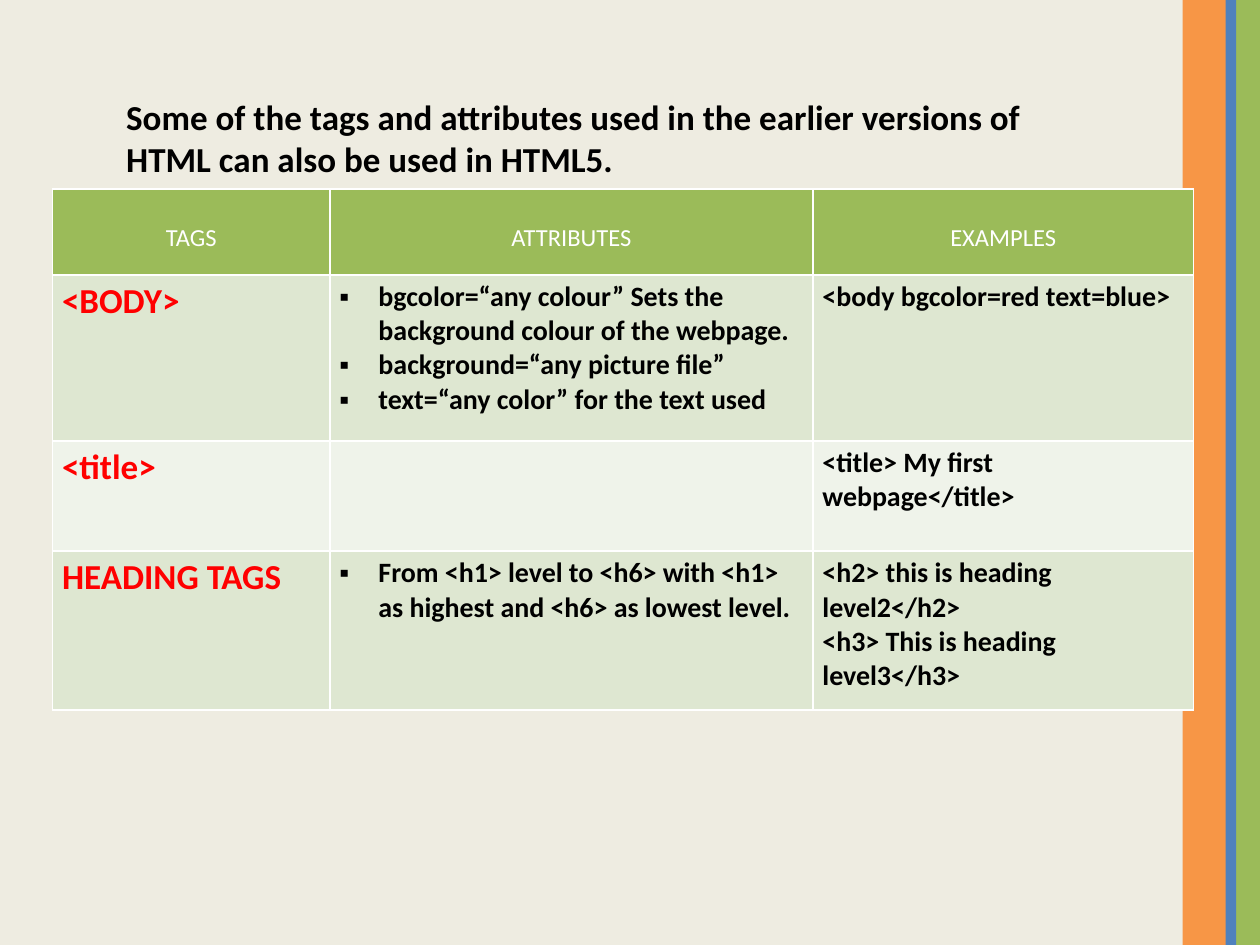
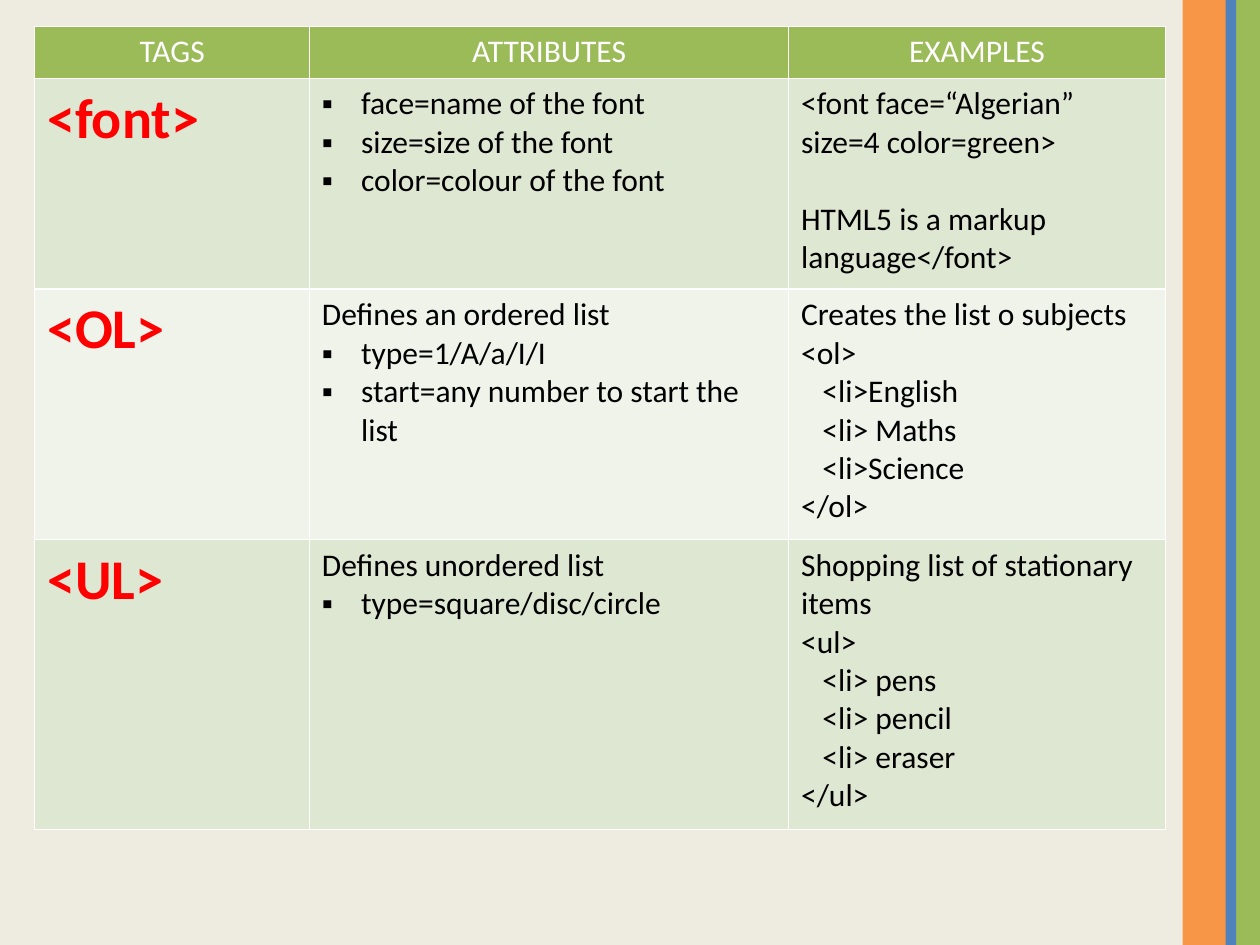
from dataclasses import dataclass
from enum import Enum

from lxml.etree import SubElement as Sub
from pptx import Presentation
from pptx.dml.color import RGBColor as Rgb
from pptx.enum.shapes import MSO_SHAPE as Form
from pptx.enum.text import MSO_ANCHOR as Anchor, MSO_AUTO_SIZE as Auto, PP_ALIGN as Align
from pptx.oxml.ns import qn
from pptx.util import Cm, Pt

FONT = "Calibri"
HUES = {
    "sand": "EEECE1",
    "orange": "F79646",
    "blue": "4F81BD",
    "green": "9BBB59",
    "dark": "DEE7D1",
    "light": "EFF3EA",
    "red": "FF0000",
    "black": "000000",
    "white": "FFFFFF",
}
HEADS = ("TAGS", "ATTRIBUTES", "EXAMPLES")
HIGH = 19.05


class Kind(Enum):
    PLAIN = 1
    BULLET = 2
    INSET = 3
    GAP = 4


@dataclass
class Line:
    text: str
    kind: Kind = Kind.PLAIN


@dataclass
class Look:
    size: float
    hue: str
    bold: bool = False
    align: Align = Align.LEFT


@dataclass
class Band:
    left: float
    width: float
    hue: str


@dataclass
class Row:
    tag: str
    traits: list[Line]
    samples: list[Line]


@dataclass
class Grid:
    left: float
    top: float
    cols: tuple[float, ...]
    highs: tuple[float, ...]
    pad: tuple[float, float]
    drop: float
    head: Look
    tag: Look
    body: Look
    rows: list[Row]


def plain(*texts: str) -> list[Line]:
    return [Line(text) for text in texts]


def dots(*texts: str) -> list[Line]:
    return [Line(text, Kind.BULLET) for text in texts]


def inset(*texts: str) -> list[Line]:
    return [Line(text, Kind.INSET) for text in texts]


def tint(hue: str) -> Rgb:
    return Rgb.from_string(HUES[hue])


def paint(fill, hue: str) -> None:
    fill.solid()
    fill.fore_color.rgb = tint(hue)


def add_band(slide, band: Band) -> None:
    bar = slide.shapes.add_shape(Form.RECTANGLE, Cm(band.left), Cm(0), Cm(band.width), Cm(HIGH))
    bar.shadow.inherit = False
    paint(bar.fill, band.hue)
    bar.line.fill.background()


def style(para, look: Look, kind: Kind = Kind.PLAIN) -> None:
    para.alignment = look.align
    for run in para.runs:
        run.font.name = FONT
        run.font.size = Pt(look.size)
        run.font.bold = look.bold
        run.font.color.rgb = tint(look.hue)
    props = para._p.get_or_add_pPr()
    if kind is Kind.GAP:
        para.space_before = Pt(look.size * 1.22)
    elif kind is Kind.INSET:
        props.set("marL", str(Cm(0.43)))
    elif kind is Kind.BULLET:
        props.set("marL", str(Cm(0.79)))
        props.set("indent", str(-Cm(0.79)))
        Sub(props, qn("a:buFont"), typeface="Arial")
        Sub(props, qn("a:buChar"), char="▪")


def write(frame, lines: list[Line], look: Look) -> None:
    frame.text = "\n".join(line.text for line in lines)
    for para, line in zip(frame.paragraphs, lines):
        style(para, look, line.kind)


def edge(cell) -> None:
    props = cell._tc.get_or_add_tcPr()
    for side in "LRTB":
        rule = Sub(props, qn(f"a:ln{side}"), w=str(Pt(1)))
        Sub(Sub(rule, qn("a:solidFill")), qn("a:srgbClr"), val=HUES["white"])


def fill_cell(cell, lines: list[Line], look: Look, grid: Grid, hue: str) -> None:
    across, down = grid.pad
    cell.margin_left = cell.margin_right = Cm(across)
    cell.margin_top = cell.margin_bottom = Cm(down)
    edge(cell)
    paint(cell.fill, hue)
    if lines:
        write(cell.text_frame, lines, look)


def add_grid(slide, grid: Grid) -> None:
    table = slide.shapes.add_table(
        len(grid.highs), len(grid.cols), Cm(grid.left), Cm(grid.top),
        Cm(sum(grid.cols)), Cm(sum(grid.highs)),
    ).table
    for col, width in zip(table.columns, grid.cols):
        col.width = Cm(width)
    for row, high in zip(table.rows, grid.highs):
        row.height = Cm(high)
    for num, text in enumerate(HEADS):
        cell = table.cell(0, num)
        fill_cell(cell, plain(text), grid.head, grid, "green")
        cell.margin_top = Cm(grid.pad[1] + grid.drop)
    looks = (grid.tag, grid.body, grid.body)
    for num, row in enumerate(grid.rows, 1):
        hue = "dark" if num % 2 else "light"
        parts = (plain(row.tag), row.traits, row.samples)
        for col, (lines, look) in enumerate(zip(parts, looks)):
            fill_cell(table.cell(num, col), lines, look, grid, hue)


def set_title(slide, text: str) -> None:
    title = slide.shapes.title
    title.left, title.top, title.width, title.height = Cm(2.29), Cm(1.8), Cm(19.3), Cm(1.96)
    frame = title.text_frame
    frame.word_wrap = True
    frame.auto_size = Auto.NONE
    frame.vertical_anchor = Anchor.TOP
    write(frame, plain(text), Look(20, "black", True))


BANDS = [
    Band(23.84, 0.89, "orange"),
    Band(24.92, 0.48, "green"),
    Band(24.71, 0.21, "blue"),
]

BASICS = Grid(
    1.06, 3.81, (5.59, 9.74, 7.67), (1.73, 3.35, 2.22, 3.2), (0.19, 0.1), 0.6,
    Look(14, "white", align=Align.CENTER), Look(20, "red", True), Look(16, "black", True),
    [
        Row(
            "<BODY>",
            dots(
                "bgcolor=“any colour” Sets the background colour of the webpage.",
                "background=“any picture file”",
                "text=“any color” for the text used",
            ),
            plain("<body bgcolor=red text=blue>"),
        ),
        Row("<title>", [], plain("<title> My first webpage</title>")),
        Row(
            "HEADING TAGS",
            dots("From <h1> level to <h6> with <h1> as highest and <h6> as lowest level."),
            plain("<h2> this is heading level2</h2>", "<h3> This is heading level3</h3>"),
        ),
    ],
)

LISTS = Grid(
    0.7, 0.53, (5.54, 9.66, 7.59), (1.05, 4.25, 5.05, 5.84), (0.25, 0.13), 0,
    Look(18, "white", align=Align.CENTER), Look(32, "red", True), Look(18, "black"),
    [
        Row(
            "<font>",
            dots("face=name of the font", "size=size of the font", "color=colour of the font"),
            plain("<font face=“Algerian”", "size=4 color=green>")
            + [Line("HTML5 is a markup language</font>", Kind.GAP)],
        ),
        Row(
            "<OL>",
            plain("Defines an ordered list")
            + dots("type=1/A/a/I/I", "start=any number to start the list"),
            plain("Creates the list o subjects", "<ol>")
            + inset("<li>English", "<li> Maths", "<li>Science")
            + plain("</ol>"),
        ),
        Row(
            "<UL>",
            plain("Defines unordered list") + dots("type=square/disc/circle"),
            plain("Shopping list of stationary items", "<ul>")
            + inset("<li> pens", "<li> pencil", "<li> eraser")
            + plain("</ul>"),
        ),
    ],
)


def add_page(deck, form: str, grid: Grid, title: str = "") -> None:
    slide = deck.slides.add_slide(deck.slide_layouts.get_by_name(form))
    for band in BANDS:
        add_band(slide, band)
    if title:
        set_title(slide, title)
    add_grid(slide, grid)


def main() -> None:
    deck = Presentation()
    deck.slide_width, deck.slide_height = Cm(25.4), Cm(HIGH)
    paint(deck.slide_master.background.fill, "sand")
    add_page(
        deck, "Title Only", BASICS,
        "Some of the tags and attributes used in the earlier versions of HTML can also be used in HTML5.",
    )
    add_page(deck, "Blank", LISTS)
    deck.save("out.pptx")


main()
